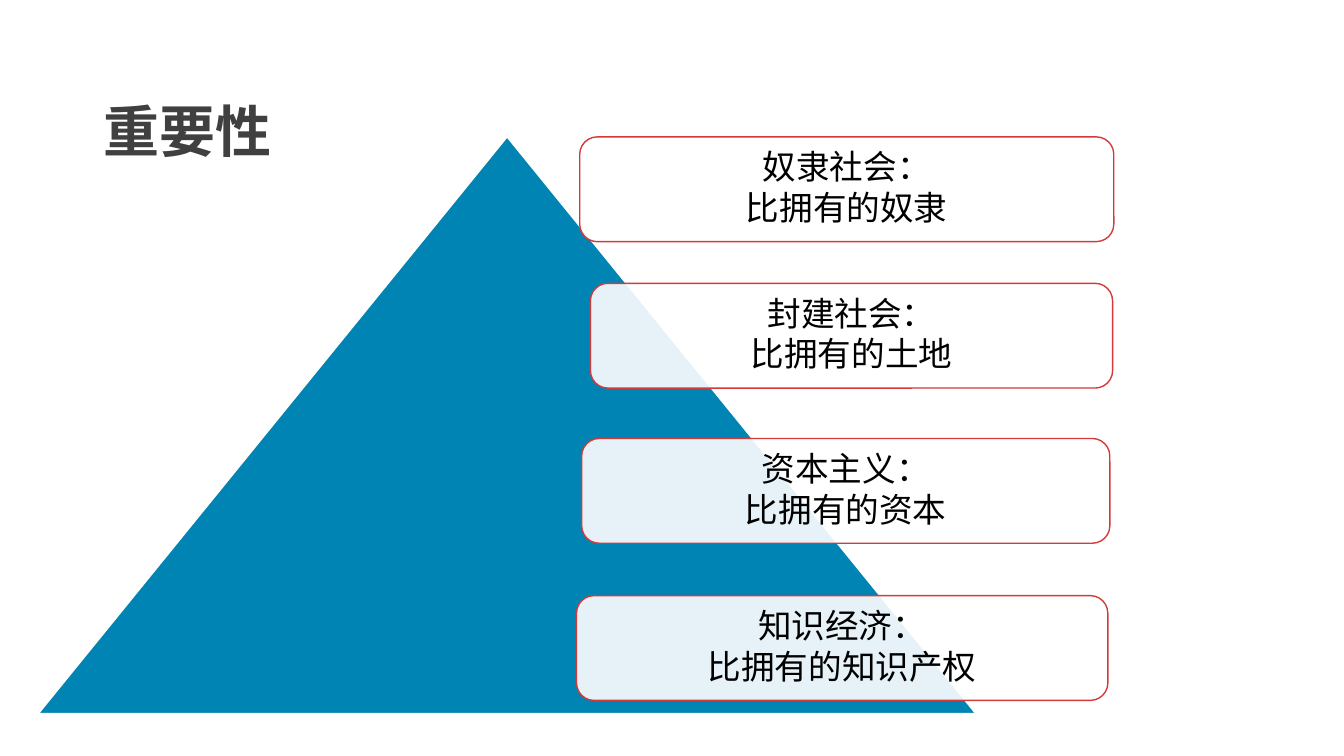
from lxml.etree import SubElement
from pptx import Presentation
from pptx.dml.color import RGBColor
from pptx.enum.shapes import MSO_SHAPE as Shape
from pptx.enum.text import MSO_ANCHOR as Anchor, PP_ALIGN as Align
from pptx.oxml.ns import qn
from pptx.util import Cm, Pt

BLUE = RGBColor(0x00, 0x84, 0xB4)
RED = RGBColor(0xD5, 0x3A, 0x3A)
GREY = RGBColor(0x40, 0x40, 0x40)
WHITE = RGBColor(0xFF, 0xFF, 0xFF)
BLACK = RGBColor(0x00, 0x00, 0x00)

CHINESE_FONT = "Noto Sans CJK SC"
CARD_HEIGHT = 2.64
# Left, top and width in cm from the pyramid's corner, then society and measure
STAGES = [
    (13.64, 0, 13.46, "奴隶社会：", "比拥有的奴隶"),
    (13.91, 3.69, 13.16, "封建社会：", "比拥有的土地"),
    (13.69, 7.6, 13.31, "资本主义：", "比拥有的资本"),
    (13.56, 11.56, 13.39, "知识经济：", "比拥有的知识产权"),
]


def style_span(span, size, color, latin, bold=False):
    font = span.font
    font.size, font.bold, font.name = Pt(size), bold, latin
    font.color.rgb = color
    SubElement(font._element, qn("a:ea"), typeface=CHINESE_FONT)


def add_outlined(slide, kind, box, fill, line):
    shape = slide.shapes.add_shape(kind, *map(Cm, box))
    shape.shadow.inherit = False
    shape.fill.solid()
    shape.fill.fore_color.rgb = fill
    shape.line.color.rgb = line
    shape.line.width = Pt(1)
    return shape


def add_title(slide, box, text):
    title = slide.shapes.title
    title.left, title.top, title.width, title.height = map(Cm, box)
    frame = title.text_frame
    frame.text = text
    frame.vertical_anchor = Anchor.MIDDLE
    para = frame.paragraphs[0]
    para.alignment = Align.LEFT
    para.line_spacing = 1.2
    style_span(para.runs[0], 40, GREY, CHINESE_FONT, bold=True)


def add_stage_card(slide, box, lines):
    card = add_outlined(slide, Shape.ROUNDED_RECTANGLE, box, WHITE, RED)
    color = card.fill._xPr.find(qn("a:solidFill"))[0]
    SubElement(color, qn("a:alpha"), val="90000")
    frame = card.text_frame
    frame.word_wrap = True
    frame.vertical_anchor = Anchor.MIDDLE
    frame.margin_left = frame.margin_right = Cm(0.25)
    frame.margin_top = frame.margin_bottom = Cm(0.25)
    frame.text = "\n".join(lines)
    for para in frame.paragraphs:
        para.alignment = Align.CENTER
        para.line_spacing = 0.9
        para.space_after = Pt(3)
        style_span(para.runs[0], 24, BLACK, "Arial")


def add_pyramid(slide, box):
    """Draw the triangle with the stage cards laid over its right side."""
    left, top = box[:2]
    add_outlined(slide, Shape.ISOSCELES_TRIANGLE, box, BLUE, WHITE)
    for shift, drop, width, *lines in STAGES:
        add_stage_card(slide, (left + shift, top + drop, width, CARD_HEIGHT), lines)


def main():
    deck = Presentation()
    deck.slide_width, deck.slide_height = Cm(33.87), Cm(19.05)
    slide = deck.slides.add_slide(deck.slide_layouts[5])
    add_title(slide, (2.36, 1.27, 29.21, 3.68), "重要性")
    add_pyramid(slide, (0.97, 3.45, 23.62, 14.53))
    deck.save("out.pptx")


if __name__ == "__main__":
    main()
